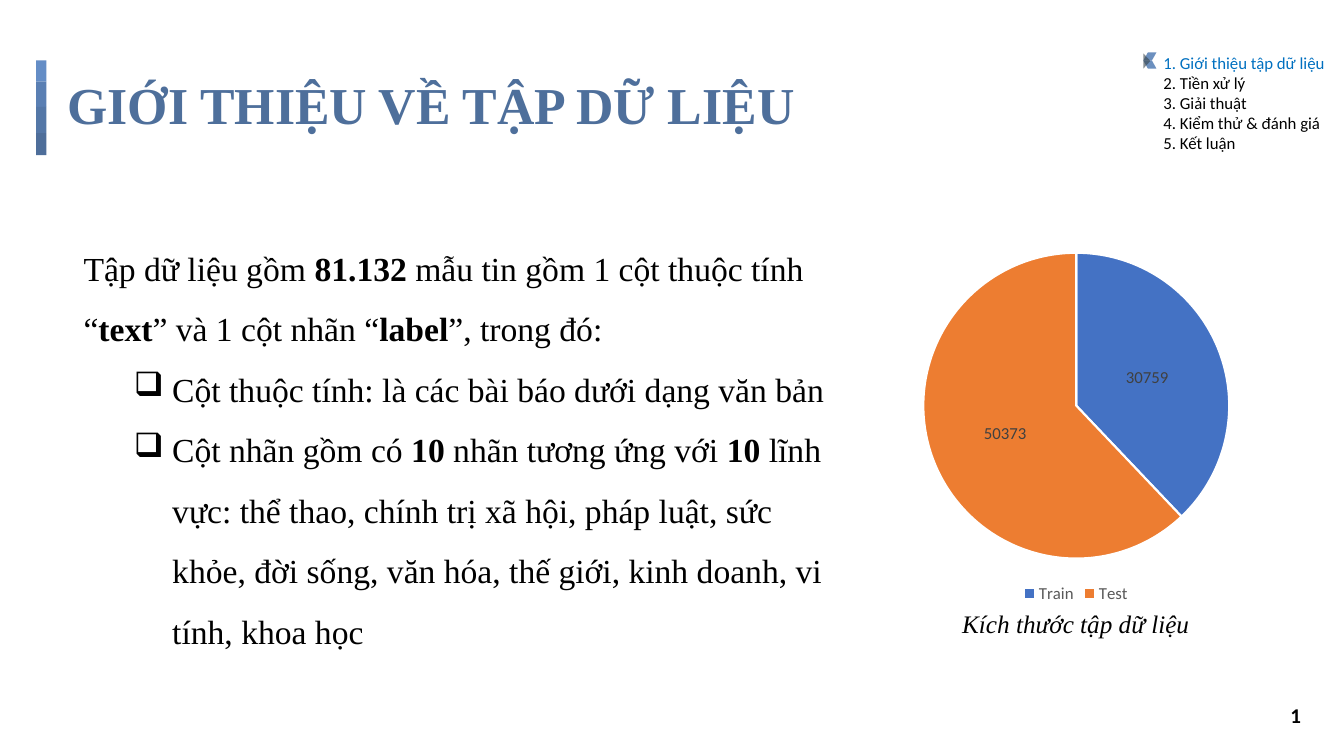
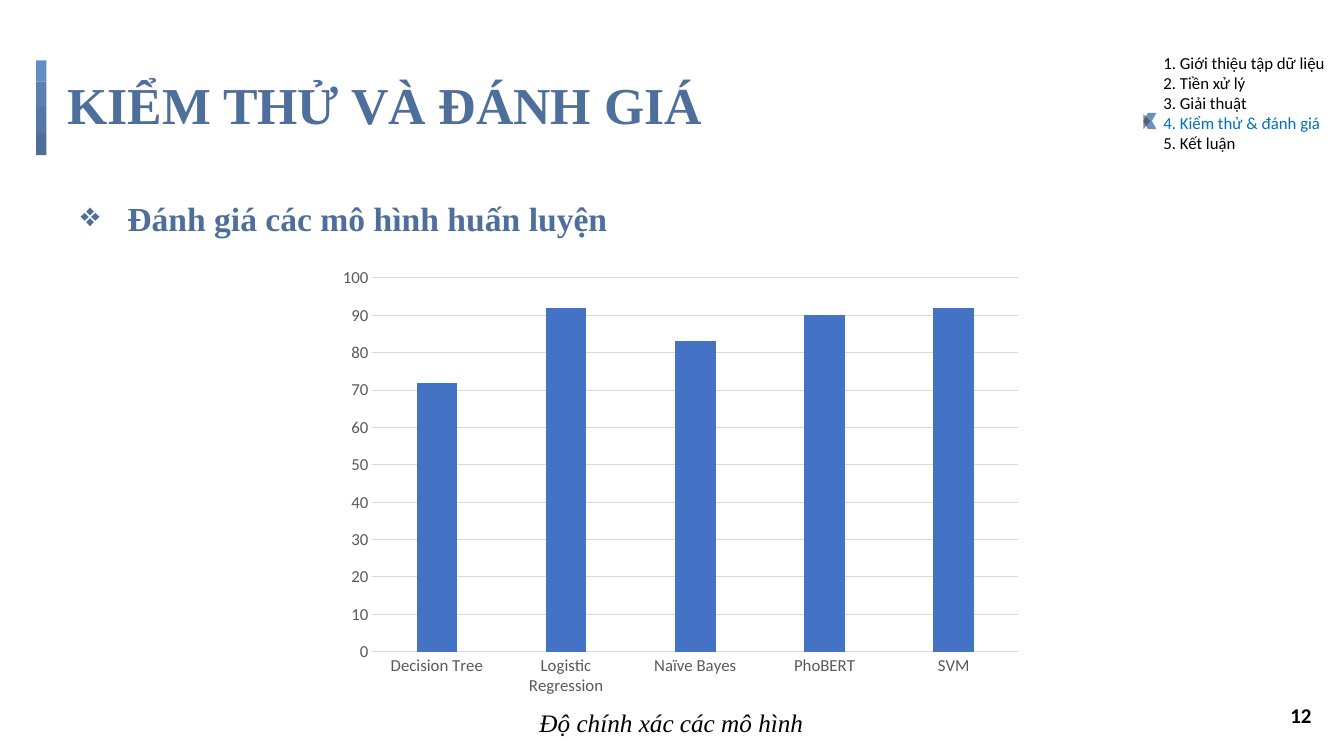
from lxml import etree
from pptx import Presentation
from pptx.chart.data import CategoryChartData
from pptx.dml.color import RGBColor
from pptx.enum.chart import XL_CHART_TYPE as ChartType
from pptx.enum.chart import XL_LABEL_POSITION as LabelPosition
from pptx.enum.chart import XL_LEGEND_POSITION as LegendPosition
from pptx.enum.chart import XL_TICK_MARK as TickMark
from pptx.enum.shapes import MSO_SHAPE as Shape
from pptx.enum.text import MSO_ANCHOR as Anchor
from pptx.enum.text import MSO_AUTO_SIZE as AutoSize
from pptx.enum.text import PP_ALIGN as Align
from pptx.oxml.ns import qn
from pptx.util import Inches, Pt

# Content: asterisks enclose bold words
SECTIONS = ["Giới thiệu tập dữ liệu", "Tiền xử lý", "Giải thuật",
            "Kiểm thử & đánh giá", "Kết luận"]
DATASET = {
    "title": "GIỚI THIỆU VỀ TẬP DỮ LIỆU", "section": 0, "number": "1",
    "intro": "Tập dữ liệu gồm *81.132 *mẫu tin gồm 1 cột thuộc tính "
             "“*text*” và 1 cột nhãn “*label*”, trong đó:",
    "bullets": [
        "Cột thuộc tính: là các bài báo dưới dạng văn bản",
        "Cột nhãn gồm có *10 *nhãn tương ứng với *10 *lĩnh vực: thể thao, "
        "chính trị xã hội, pháp luật, sức khỏe, đời sống, văn hóa, thế giới, "
        "kinh doanh, vi tính, khoa học"],
    "sizes": {"Train": 30759, "Test": 50373},
    "caption": "Kích thước tập dữ liệu",
}
EVALUATION = {
    "title": "KIỂM THỬ VÀ ĐÁNH GIÁ", "section": 3, "number": "12",
    "heading": " Đánh giá các mô hình huấn luyện",
    "accuracy": {"Decision Tree": 72, "Logistic Regression": 92,
                 "Naïve Bayes": 83, "PhoBERT": 90, "SVM": 92},
    "caption": "Độ chính xác các mô hình",
}

# Shared style
SERIF, SANS = "Times New Roman", "Calibri"
BLACK, WHITE, TITLE, ACTIVE = "000000", "FFFFFF", "4E6F9B", "0070C0"
BLUE, ORANGE = "4472C4", "ED7D31"
AXIS_TEXT, LABEL_TEXT, GRID = "595959", "404040", "D9D9D9"
BANDS = [("648DC6", 0.21), ("5A7FB3", 0.25), ("5477A7", 0.26), ("4E6E9A", 0.22)]
BAND_LEFT, BAND_TOP, BAND_WIDTH = 0.36, 0.6, 0.1
MENU_TOP, MENU_ROW = 0.47, 0.2
CAPTION_SIZE = (4.2, 0.35)


def color(code):
    """Turn a hex string into a colour."""
    return RGBColor.from_string(code)


def set_font(font, name, size, code, bold=False, italic=False):
    """Format a font."""
    font.name, font.size, font.bold, font.italic = name, Pt(size), bold, italic
    font.color.rgb = color(code)


def write(paragraph, text):
    """Write text whose starred parts are bold."""
    for index, part in enumerate(text.split("*")):
        run = paragraph.add_run()
        run.text = part
        if index % 2:
            run.font.bold = True


def add_bullet(paragraph, mark, margin, hanging, code):
    """Give a paragraph a hanging bullet."""
    properties = paragraph._p.get_or_add_pPr()
    properties.set("marL", str(Inches(margin)))
    properties.set("indent", str(-Inches(hanging)))
    bullet_color = etree.SubElement(properties, qn("a:buClr"))
    etree.SubElement(bullet_color, qn("a:srgbClr"), val=code)
    etree.SubElement(properties, qn("a:buChar"), char=mark)


def add_text_box(slide, left, top, width, height, inset=None):
    """Add a wrapping text box and return its frame."""
    box = slide.shapes.add_textbox(*map(Inches, (left, top, width, height)))
    frame = box.text_frame
    frame.word_wrap = True
    if inset:
        set_inset(frame, inset)
    return frame


def set_inset(frame, inset):
    """Set all four inner margins."""
    frame.margin_left = frame.margin_right = Inches(inset)
    frame.margin_top = frame.margin_bottom = Inches(inset)


def add_solid(slide, kind, left, top, width, height, code, opacity=100):
    """Add a borderless filled shape."""
    shape = slide.shapes.add_shape(kind, *map(Inches, (left, top, width, height)))
    shape.shadow.inherit = False
    shape.line.fill.background()
    shape.fill.solid()
    shape.fill.fore_color.rgb = color(code)
    if opacity < 100:
        fill = shape.element.spPr.find(qn("a:solidFill"))
        etree.SubElement(fill[0], qn("a:alpha"), val=str(opacity * 1000))
    return shape


def add_bands(layout, slide):
    """Stack the title bands and move them to the layout."""
    top = BAND_TOP
    for code, height in BANDS:
        band = add_solid(slide, Shape.RECTANGLE, BAND_LEFT, top,
                         BAND_WIDTH, height, code)
        layout.shapes.element.append(band.element)
        top += height


def add_menu(slide, active):
    """List the sections and mark the active one with an arrow."""
    frame = add_text_box(slide, 11.44, MENU_TOP, 1.89, 1.11)
    for index, section in enumerate(SECTIONS):
        paragraph = frame.paragraphs[0] if index == 0 else frame.add_paragraph()
        paragraph.text = f"{index + 1}. {section}"
        set_font(paragraph.font, SANS, 12, ACTIVE if index == active else BLACK)
    top = MENU_TOP + 0.05 + active * MENU_ROW
    for half in range(2):
        wing = add_solid(slide, Shape.PARALLELOGRAM, 11.34, top + half * 0.08,
                         0.13, 0.08, "5E85B9", 91)
        wing.adjustments[0] = 0.56
        if half:
            wing.element.spPr.xfrm.set("flipH", "1")
    tip = add_solid(slide, Shape.ISOSCELES_TRIANGLE, 11.3, top + 0.05,
                    0.15, 0.07, "38444A", 60)
    tip.rotation = 90


def add_slide(presentation, content):
    """Add a slide with title, menu and number."""
    slide = presentation.slides.add_slide(presentation.slide_layouts[5])
    title = slide.shapes.title
    title.left, title.top, title.width, title.height = map(
        Inches, (0.54, 0.65, 10.03, 0.84))
    frame = title.text_frame
    frame.text = content["title"]
    frame.auto_size = AutoSize.NONE
    frame.vertical_anchor = Anchor.MIDDLE
    set_inset(frame, 0.13)
    paragraph = frame.paragraphs[0]
    paragraph.alignment, paragraph.line_spacing = Align.LEFT, 0.9
    set_font(paragraph.font, SERIF, 37, TITLE, bold=True)
    add_menu(slide, content["section"])
    number = add_text_box(slide, 12.7, 6.92, 0.46, 0.35).paragraphs[0]
    number.text = content["number"]
    set_font(number.font, SANS, 15, BLACK, bold=True)
    return slide


def add_caption(slide, left, top, text):
    """Add a centred italic chart caption."""
    frame = add_text_box(slide, left, top, *CAPTION_SIZE)
    frame.vertical_anchor = Anchor.MIDDLE
    paragraph = frame.paragraphs[0]
    paragraph.text, paragraph.alignment = text, Align.CENTER
    set_font(paragraph.font, SERIF, 18, BLACK, italic=True)


def add_chart(slide, kind, place, values):
    """Add a one-series chart and return it."""
    data = CategoryChartData()
    data.categories = list(values)
    data.add_series("Series 1", list(values.values()))
    chart = slide.shapes.add_chart(kind, *map(Inches, place), data).chart
    chart.has_title = chart.has_legend = False
    set_font(chart.font, SANS, 12, AXIS_TEXT)
    return chart


def add_size_pie(slide, values):
    """Chart the size of the two data sets."""
    chart = add_chart(slide, ChartType.PIE, (8.16, 2.37, 5.03, 3.66), values)
    chart.has_legend = True
    chart.legend.position = LegendPosition.BOTTOM
    chart.legend.include_in_layout = False
    set_font(chart.legend.font, SANS, 12, AXIS_TEXT)
    plot = chart.plots[0]
    plot.vary_by_categories = True
    series = plot.series[0]
    for index, code in enumerate((BLUE, ORANGE)):
        slice_format = series.points[index].format
        slice_format.fill.solid()
        slice_format.fill.fore_color.rgb = color(code)
        slice_format.line.color.rgb = color(WHITE)
        slice_format.line.width = Pt(1.5)
    labels = series.data_labels
    labels.show_value = True
    labels.position = LabelPosition.CENTER
    set_font(labels.font, SANS, 12, LABEL_TEXT)


def add_accuracy_columns(slide, values):
    """Chart the accuracy of each model."""
    chart = add_chart(slide, ChartType.COLUMN_CLUSTERED,
                      (3.26, 2.57, 6.98, 4.42), values)
    plot = chart.plots[0]
    plot.vary_by_categories = False
    plot.gap_width, plot.overlap = 219, -27
    fill = plot.series[0].format.fill
    fill.solid()
    fill.fore_color.rgb = color(BLUE)
    value_axis, category_axis = chart.value_axis, chart.category_axis
    for axis in (value_axis, category_axis):
        axis.major_tick_mark = axis.minor_tick_mark = TickMark.NONE
        set_font(axis.tick_labels.font, SANS, 12, AXIS_TEXT)
    value_axis.minimum_scale, value_axis.maximum_scale = 0, 100
    value_axis.major_unit = 10
    value_axis.format.line.fill.background()
    for line in (value_axis.major_gridlines.format.line, category_axis.format.line):
        line.color.rgb = color(GRID)
        line.width = Pt(0.75)


def build_dataset(presentation):
    """Build the data set slide."""
    slide = add_slide(presentation, DATASET)
    add_bands(presentation.slide_layouts[5], slide)
    add_size_pie(slide, DATASET["sizes"])
    frame = add_text_box(slide, 0.73, 2.21, 7.71, 4.27)
    for index, text in enumerate([DATASET["intro"], *DATASET["bullets"]]):
        paragraph = frame.add_paragraph() if index else frame.paragraphs[0]
        paragraph.line_spacing = 1.5
        set_font(paragraph.font, SERIF, 24, BLACK)
        write(paragraph, text)
        if index:
            paragraph.level = 1
            add_bullet(paragraph, "❑", 0.88, 0.38, BLACK)
    add_caption(slide, 8.57, 6.01, DATASET["caption"])


def build_evaluation(presentation):
    """Build the model evaluation slide."""
    slide = add_slide(presentation, EVALUATION)
    heading = add_text_box(slide, 0.67, 1.88, 10.03, 0.84, 0.13).paragraphs[0]
    heading.text, heading.line_spacing = EVALUATION["heading"], 0.9
    set_font(heading.font, SERIF, 24, TITLE, bold=True)
    add_bullet(heading, "❖", 0.38, 0.38, TITLE)
    add_accuracy_columns(slide, EVALUATION["accuracy"])
    add_caption(slide, 4.56, 6.99, EVALUATION["caption"])


presentation = Presentation()
presentation.slide_width, presentation.slide_height = Inches(13.33), Inches(7.5)
build_dataset(presentation)
build_evaluation(presentation)
presentation.save("out.pptx")
